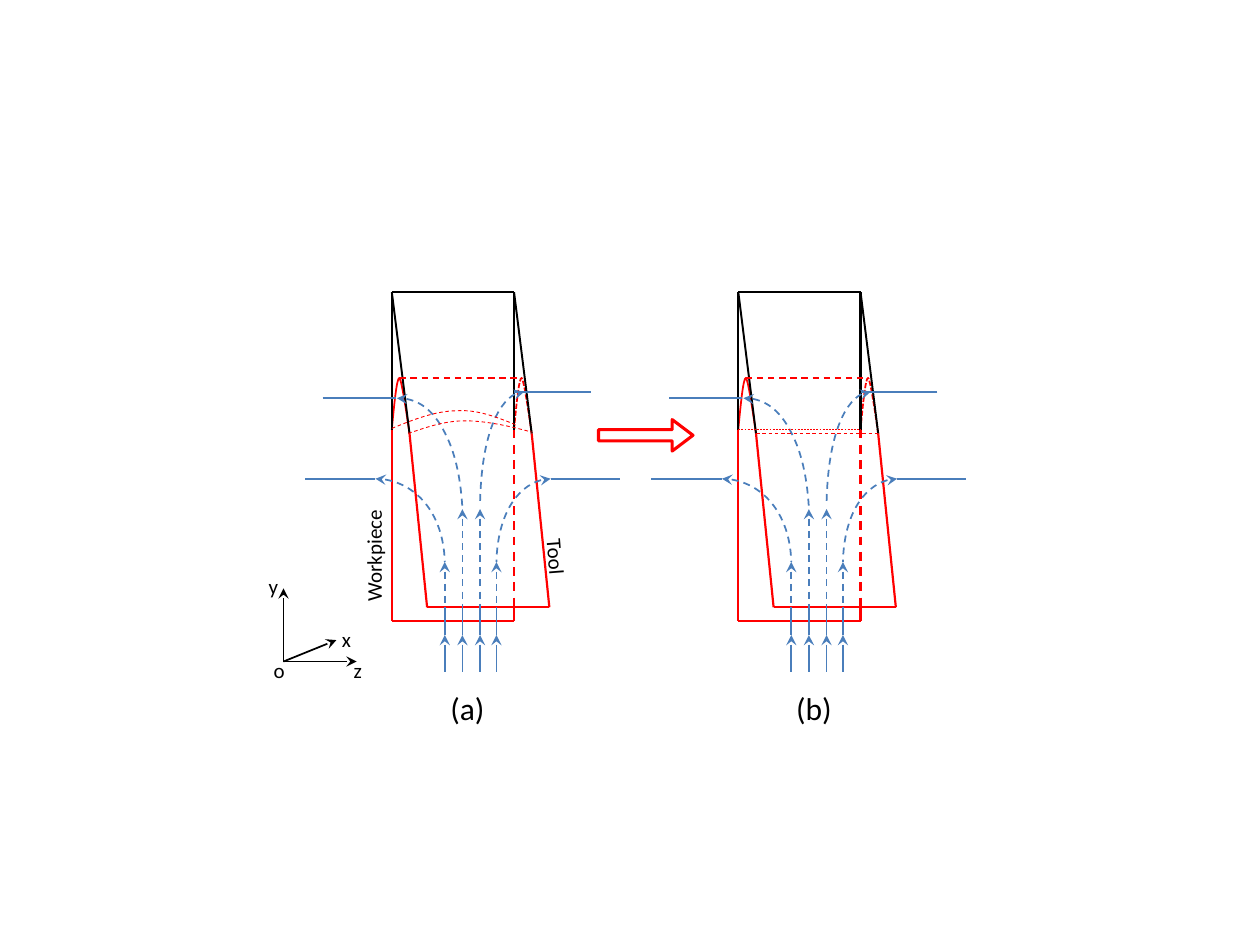
from pptx import Presentation
from pptx.dml.color import RGBColor
from pptx.enum.dml import MSO_LINE
from pptx.enum.shapes import MSO_CONNECTOR, MSO_SHAPE
from pptx.enum.text import MSO_ANCHOR, PP_ALIGN
from pptx.oxml.ns import qn
from pptx.util import Inches, Pt
from lxml import etree

RED = RGBColor(0xFF, 0, 0)
BLACK = RGBColor(0, 0, 0)
BLUE = RGBColor(0x4A, 0x7E, 0xBB)
DASH, DOT = MSO_LINE.DASH, MSO_LINE.SQUARE_DOT
STRAIGHT = MSO_CONNECTOR.STRAIGHT

# Panel lengths are inches from the top left corner of the workpiece.
TOP, PANELS = 2.32, {"a": 3.11, "b": 5.86}
WIDE, SKEW = 0.97, 0.14
ARCH, EDGE, LIP = 0.68, 1.09, 1.12      # crest, workpiece edge, tool edge
FOOT, BASE = 2.5, 2.61                  # ends of tool and workpiece
ENTRY, START = 2.72, 3.01               # where the inflow arrows sit

# Inflow streams: x, and y where the straight dashed part ends
STREAMS = [(0.42, 2.14), (0.56, 1.72), (0.7, 1.72), (0.83, 2.14)]
# Outflow: from, to
OUTLETS = [((-0.55, 0.84), (0.03, 0.84)), ((1.58, 0.79), (0.97, 0.79)),
           ((-0.13, 1.48), (-0.69, 1.48)), ((1.26, 1.48), (1.81, 1.48))]
# Bends: start, then three points for each cubic curve
BENDS = [
    [(0.04, 0.84), (0.2, 0.83), (0.36, 0.96), (0.46, 1.2),
     (0.52, 1.35), (0.55, 1.53), (0.56, 1.72)],
    [(1.05, 0.79), (0.87, 0.78), (0.71, 1.17), (0.7, 1.68)],
    [(-0.13, 1.48), (0.17, 1.48), (0.41, 1.77), (0.42, 2.14)],
    [(1.26, 1.48), (1.03, 1.48), (0.84, 1.77), (0.83, 2.14)],
]
CROWNS = [
    [(0.13, 1.12), (0.28, 1.07), (0.42, 1.02), (0.58, 1.02),
     (0.74, 1.02), (0.93, 1.06), (1.11, 1.11)],
    [(0, 1.08), (0.17, 1.01), (0.35, 0.94), (0.52, 0.94),
     (0.68, 0.93), (0.83, 0.99), (0.98, 1.05)],
]
FLATS = [((SKEW, LIP), (WIDE + SKEW, LIP), 0.5), ((0, EDGE), (WIDE, EDGE), 0.25)]
AXES = [(2.25, 4.67), (2.67, 5.08), (2.83, 5.25)]
ORIGIN = (2.25, 5.25)
# Labels: text, left, top, width, height, size, turn
LABELS = [
    ("(a)", 3.42, 5.42, 0.58, 0.4, 18, 0),
    ("(b)", 6.17, 5.42, 0.58, 0.4, 18, 0),
    ("Workpiece", 2.47, 4.26, 0.99, 0.3, 12, 270),
    ("Tool", 4, 4.27, 0.83, 0.3, 12, 85.5),
    ("z", 2.67, 5.17, 0.34, 0.3, 12, 0),
    ("x", 2.58, 4.92, 0.34, 0.3, 12, 0),
    ("y", 2, 4.5, 0.34, 0.3, 12, 0),
    ("o", 2, 5.17, 0.43, 0.3, 12, 0),
]

prs = Presentation()
prs.slide_width, prs.slide_height = Inches(10), Inches(7.5)
shapes = prs.slides.add_slide(prs.slide_layouts[6]).shapes


def stroke(shape, color, width, dash=None, end=None):
    """Style an outline; end is headEnd or tailEnd for an arrowhead."""
    shape.line.color.rgb = color
    shape.line.width = Pt(width)
    if dash:
        shape.line.dash_style = dash
    if end:
        ln = shape.line._get_or_add_ln()
        etree.SubElement(ln, qn("a:" + end)).set("type", "stealth")


def line(start, stop, *style, **extra):
    link = shapes.add_connector(STRAIGHT, *map(Inches, start + stop))
    stroke(link, *style, **extra)
    etree.SubElement(link._element.spPr, qn("a:effectLst"))


def curve(points, *style, **extra):
    """Draw cubic curves through a start and triples of control points."""
    pen = shapes.build_freeform(*map(Inches, points[0]), scale=1.0)
    pen.add_line_segments([tuple(map(Inches, p)) for p in points[1:]], close=False)
    shape = pen.convert_to_shape()
    way = next(shape._element.iter(qn("a:path")))
    steps = way.findall(qn("a:lnTo"))
    for i in range(0, len(steps), 3):
        bend = etree.SubElement(way, qn("a:cubicBezTo"))
        for step in steps[i:i + 3]:
            bend.append(step[0])
            way.remove(step)
    shape.fill.background()
    shape.shadow.inherit = False
    stroke(shape, *style, **extra)


def panel(left, crowned):
    def at(x, y):
        return left + x, TOP + y

    def seg(start, stop, *style, **extra):
        line(at(*start), at(*stop), *style, **extra)

    def arc(points, *style, **extra):
        curve([at(*p) for p in points], *style, **extra)

    for x, dash in ((0, None), (WIDE, DASH)):
        seg((x, EDGE), (x, FOOT), RED, 1.25, dash)
        seg((x, FOOT), (x, BASE), RED, 1.25)
        seg((x + SKEW, LIP), (x + 2 * SKEW, FOOT), RED, 1.25)
        arc([(x + dx, y) for dx, y in (
            (0, EDGE), (0.02, 0.88), (0.04, ARCH), (0.06, ARCH),
            (0.08, 0.69), (0.13, 1.05), (SKEW, LIP))],
            RED, 1, DOT if dash else None)
        seg((x, 0), (x, EDGE), BLACK, 1.25)
        seg((x, 0), (x + SKEW, LIP), BLACK, 1.11)
    seg((0, 0), (WIDE, 0), BLACK, 1.25)
    seg((0.06, ARCH), (WIDE + 0.06, ARCH), RED, 0.91, DASH)
    seg((2 * SKEW, FOOT), (WIDE + 2 * SKEW, FOOT), RED, 1.25)
    seg((0, BASE), (WIDE, BASE), RED, 1.25)

    for start, stop in OUTLETS:
        seg(start, stop, BLUE, 1)
    for points in BENDS:
        arc(points, BLUE, 1, DASH, "headEnd")
    for x, y in STREAMS:
        seg((x, y), (x, FOOT), BLUE, 1, DASH, "headEnd")
        seg((x, FOOT), (x, ENTRY), BLUE, 1)
        seg((x, ENTRY), (x, START), BLUE, 1, end="headEnd")

    if crowned:
        for points in CROWNS:
            arc(points, RED, 0.5, DASH)
    else:
        for start, stop, width in FLATS:
            seg(start, stop, RED, width, DASH)


def label(text, left, top, width, height, size, turn):
    box = shapes.add_textbox(*map(Inches, (left, top, width, height)))
    box.rotation = turn
    frame = box.text_frame
    frame.word_wrap = True
    frame.vertical_anchor = MSO_ANCHOR.TOP
    frame.text = text
    para = frame.paragraphs[0]
    para.alignment = PP_ALIGN.CENTER
    font = para.runs[0].font
    font.name, font.size, font.color.rgb = "Calibri", Pt(size), BLACK


for name, left in PANELS.items():
    panel(left, crowned=name == "a")

arrow = shapes.add_shape(MSO_SHAPE.RIGHT_ARROW, *map(Inches, (4.75, 3.33, 0.75, 0.25)))
arrow.adjustments[0], arrow.adjustments[1] = 0.36, 0.66
arrow.fill.background()
arrow.shadow.inherit = False
stroke(arrow, RED, 1.75)

for tip in AXES:
    line(ORIGIN, tip, BLACK, 1, end="tailEnd")
for item in LABELS:
    label(*item)

prs.save("out.pptx")
